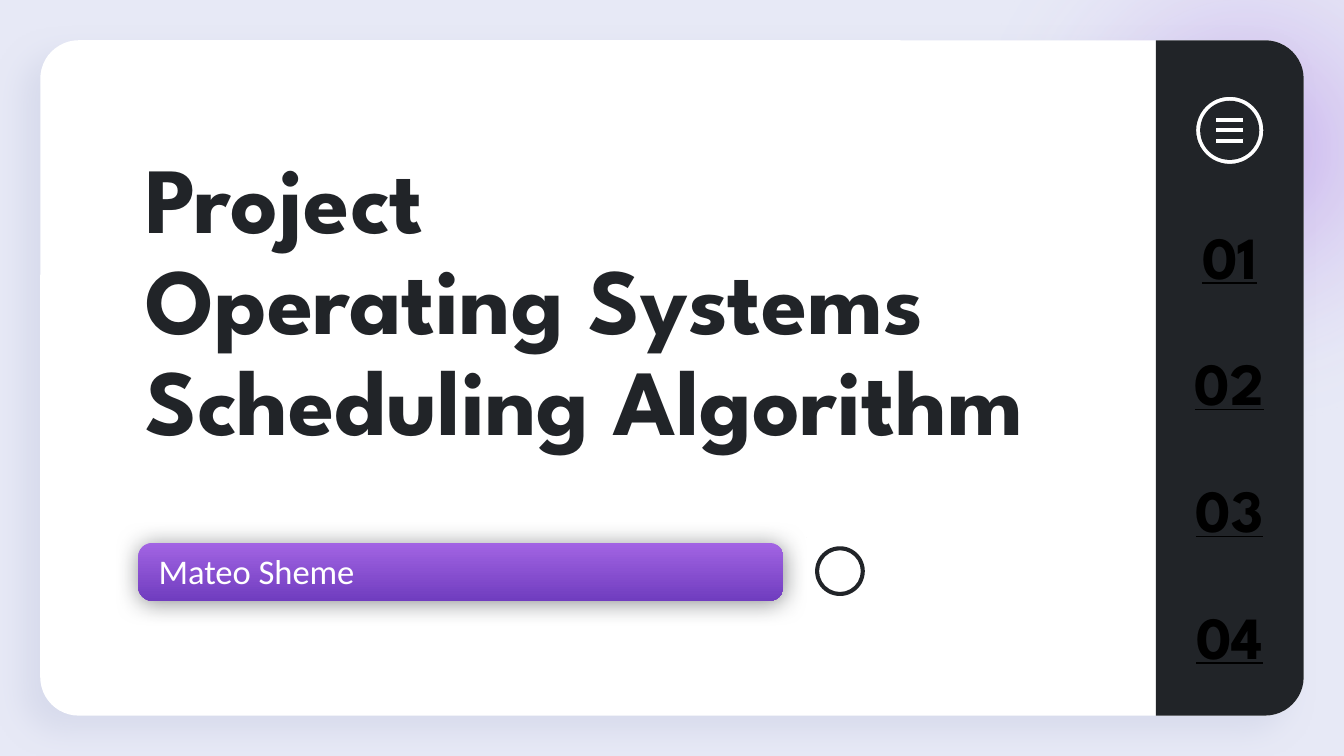
from lxml.etree import SubElement
from pptx import Presentation
from pptx.dml.color import RGBColor
from pptx.enum.shapes import MSO_SHAPE
from pptx.enum.text import MSO_ANCHOR, PP_ALIGN
from pptx.oxml import parse_xml
from pptx.oxml.ns import nsdecls, qn
from pptx.util import Inches, Pt

TITLE = ["Project", "Operating Systems", "Scheduling Algorithm"]
AUTHOR = "Mateo Sheme"
NUMBERS = ["01", "02", "03", "04"]
HEAD, BODY = "League Spartan", "Calibri"
DARK, WHITE, PALE = "212428", "FFFFFF", "E7E9F6"
LILAC, VIOLET, MIST = "A264E3", "703DBF", "C7CCE2"

WIDE, HIGH = 10, 5.625
EDGE = 0.3                       # margin around the card
CARD = WIDE - 2 * EDGE, HIGH - 2 * EDGE
BAND = 1.1                       # width of the dark menu band
MID = WIDE - EDGE - BAND / 2     # centre line of the band
FIRST, STEP = 1.63, 0.943        # top of first number, row pitch

prs = Presentation()
prs.slide_width, prs.slide_height = Inches(WIDE), Inches(HIGH)
slide = prs.slides.add_slide(prs.slide_layouts[5])


def rgb(code):
    return RGBColor.from_string(code)


def add_shape(kind, left, top, width, height, color, adj=(), line=None):
    shape = slide.shapes.add_shape(
        kind, *(Inches(v) for v in (left, top, width, height)))
    for i, value in enumerate(adj):
        shape.adjustments[i] = value
    paint(shape, color, line)
    return shape


def paint(shape, color, line=None):
    shape.shadow.inherit = False
    shape.fill.solid()
    shape.fill.fore_color.rgb = rgb(color)
    if line:
        shape.line.color.rgb = rgb(line)
        shape.line.width = Pt(0.75)
    else:
        shape.line.fill.background()


def tint(parent, color, alpha):
    node = SubElement(parent, qn("a:srgbClr"), val=color)
    SubElement(node, qn("a:alpha"), val=str(alpha * 1000))


def shade(shape, stops, angle=None):
    """Gradient of (percent, colour, opacity) stops; radial without an angle."""
    grad = parse_xml(f'<a:gradFill rotWithShape="1" {nsdecls("a")}/>')
    row = SubElement(grad, qn("a:gsLst"))
    for pos, color, alpha in stops:
        tint(SubElement(row, qn("a:gs"), pos=str(pos * 1000)), color, alpha)
    if angle is None:
        ring = SubElement(grad, qn("a:path"), path="circle")
        SubElement(ring, qn("a:fillToRect"),
                   **dict.fromkeys("ltrb", "50000"))
    else:
        SubElement(grad, qn("a:lin"), ang=str(angle * 60000), scaled="0")
    props = shape._element.spPr
    props.replace(props.find(qn("a:solidFill")), grad)


def cast(shape, color, alpha, blur, dist, angle):
    effects = shape._element.spPr.find(qn("a:effectLst"))
    drop = SubElement(effects, qn("a:outerShdw"), blurRad=str(Pt(blur)),
                      dist=str(Pt(dist)), dir=str(angle * 60000),
                      algn="ctr", rotWithShape="0")
    tint(drop, color, alpha)


def write(shape, lines, size, font=HEAD, color=DARK, bold=True, under=None,
          align=PP_ALIGN.LEFT, anchor=MSO_ANCHOR.TOP, spacing=None,
          inset=(0.1, 0, 0.1, 0)):
    frame = shape.text_frame
    frame.word_wrap = True
    frame.vertical_anchor = anchor
    (frame.margin_left, frame.margin_top,
     frame.margin_right, frame.margin_bottom) = map(Inches, inset)
    para = frame.paragraphs[0]
    para.text = "\v".join(lines)
    para.alignment = align
    if spacing:
        para.line_spacing = spacing
    for run in para.runs:
        face = run.font
        face.name, face.size, face.bold = font, Pt(size), bold
        face.underline, face.color.rgb = under, rgb(color)


def add_ring(x, y, size, weight, color, line=None):
    return add_shape(MSO_SHAPE.DONUT, x - size / 2, y - size / 2, size, size,
                     color, [weight / size], line)


# Background and card
back = slide.background.fill
back.solid()
back.fore_color.rgb = rgb(PALE)
glow = add_shape(MSO_SHAPE.OVAL, 6.93, -1.22, 4.66, 4.66, LILAC)
shade(glow, [(0, LILAC, 49), (62, PALE, 0), (100, WHITE, 0)])
card = add_shape(MSO_SHAPE.ROUNDED_RECTANGLE, EDGE, EDGE, *CARD, WHITE, [0.057])
cast(card, MIST, 47, 16.9, 12, 137)
band = add_shape(MSO_SHAPE.ROUND_2_SAME_RECTANGLE, MID - CARD[1] / 2,
                 (HIGH - BAND) / 2, CARD[1], BAND, DARK, [0.261, 0])
band.rotation = 90

# Menu icon and section numbers
add_ring(MID, 0.97, 0.51, 0.04, WHITE, DARK)
for row in range(3):
    add_shape(MSO_SHAPE.RECTANGLE, MID - 0.105, 0.87 + row * 0.08, 0.21, 0.04,
              WHITE, line=DARK)
for row, number in enumerate(NUMBERS):
    box = slide.shapes.add_textbox(Inches(MID - 0.4), Inches(FIRST + row * STEP),
                                   Inches(0.8), Inches(0.54))
    write(box, [number], 32, color="000000", under=True,
          align=PP_ALIGN.CENTER, anchor=MSO_ANCHOR.MIDDLE)

# Title, raised above the card
title = slide.shapes.title
title.left, title.top = Inches(0.98), Inches(1.14)
title.width, title.height = Inches(7.14), Inches(2.27)
write(title, TITLE, 50, spacing=0.9, inset=(0.1, 0, 0.1, 0.1))
slide.shapes._spTree.append(title._element)

# Author bar with arrow icon
pill = add_shape(MSO_SHAPE.ROUNDED_RECTANGLE, 1.03, 4.04, 4.8, 0.43, LILAC,
                 [0.238])
shade(pill, [(0, LILAC, 100), (100, VIOLET, 100)], 90)
cast(pill, DARK, 50, 12.4, 0.8, 90)
name = slide.shapes.add_textbox(Inches(1.03), Inches(4.09), Inches(4.08),
                                Inches(0.31))
write(name, [AUTHOR], 18.5, font=BODY, color=WHITE, bold=False,
      inset=(0.15, 0, 0.1, 0.1))

add_ring(6.25, 4.25, 0.37, 0.03, DARK)
tip = [(6.23, 4.15), (6.33, 4.25), (6.23, 4.35),
       (6.21, 4.33), (6.29, 4.25), (6.21, 4.17)]
pen = slide.shapes.build_freeform(*tip[0], scale=Inches(1))
pen.add_line_segments(tip[1:], close=True)
paint(pen.convert_to_shape(), DARK)

prs.save("out.pptx")
